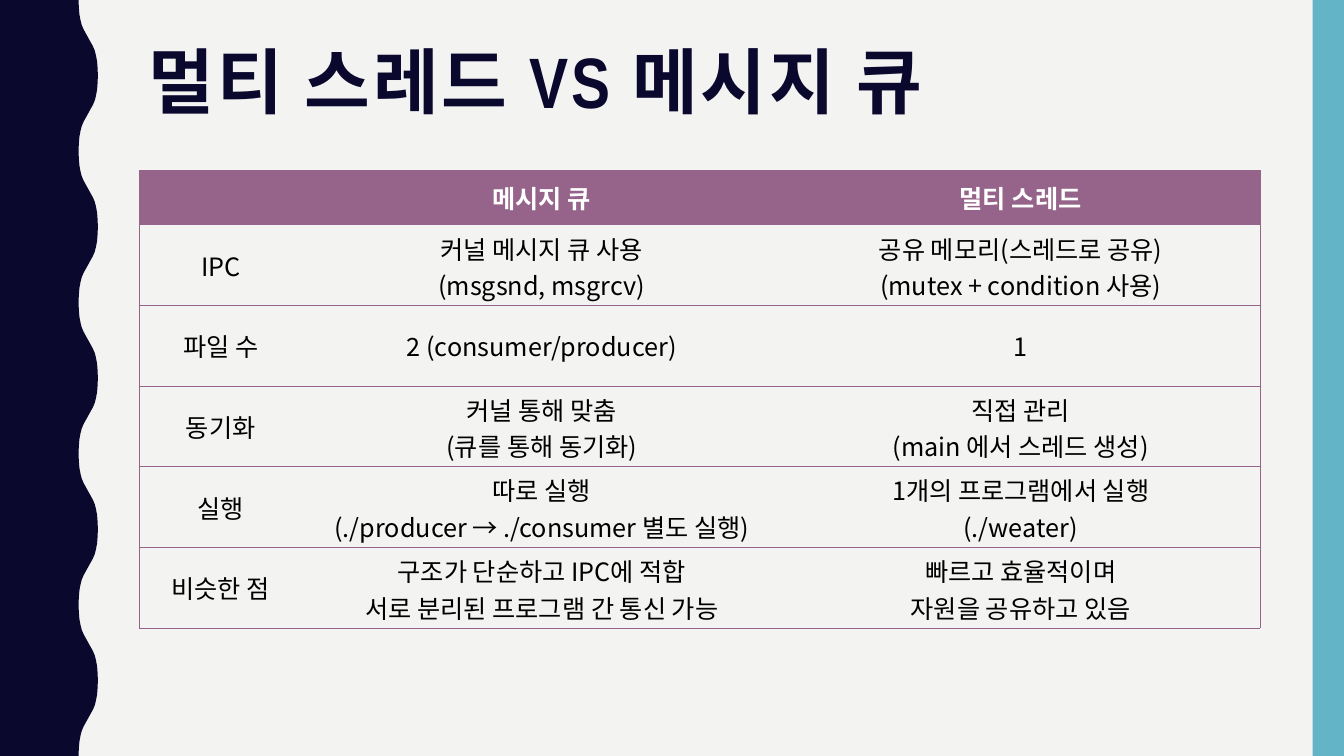
from dataclasses import dataclass

from lxml.etree import SubElement
from pptx import Presentation
from pptx.dml.color import RGBColor
from pptx.enum.shapes import MSO_SHAPE as Preset
from pptx.enum.text import MSO_ANCHOR as Anchor, PP_ALIGN as Align
from pptx.oxml import parse_xml
from pptx.oxml.ns import nsdecls, qn
from pptx.util import Inches, Pt


@dataclass(frozen=True)
class Theme:
    paper: str = "F3F3F2"
    navy: str = "0B082E"
    teal: str = "62B4C6"
    plum: str = "96648A"
    white: str = "FFFFFF"
    black: str = "000000"
    title_font: str = "Arial Narrow"
    body_font: str = "Noto Sans CJK KR"
    title_size: float = 51
    title_spacing: float = 2
    body_size: float = 18
    rule: float = 0.5


WAVE_COUNT = 5
QUARTER_WAVE = [(0, 0), (0.01, 0.09), (0.04, 0.19), (0.1, 0.27),
                (0.16, 0.33), (0.26, 0.39), (0.37, 0.44), (0.5, 0.5)]

TITLE = "멀티 스레드 VS 메시지 큐"
COLUMN_WIDTHS = [12.15, 35.63, 35.63]
HEADER_HEIGHT, ROW_HEIGHT = 7.2, 10.67
COMPARISON = [
    ["", "메시지 큐", "멀티 스레드"],
    ["IPC", "커널 메시지 큐 사용\n(msgsnd, msgrcv)",
     "공유 메모리(스레드로 공유)\n(mutex + condition 사용)"],
    ["파일 수", "2 (consumer/producer)", "1"],
    ["동기화", "커널 통해 맞춤\n(큐를 통해 동기화)",
     "직접 관리\n(main 에서 스레드 생성)"],
    ["실행", "따로 실행\n(./producer → ./consumer 별도 실행)",
     "1개의 프로그램에서 실행\n(./weater)"],
    ["비슷한 점", "구조가 단순하고 IPC에 적합\n서로 분리된 프로그램 간 통신 가능",
     "빠르고 효율적이며\n자원을 공유하고 있음"],
]


class SlideBuilder:
    def __init__(self, deck, theme):
        self.deck = deck
        self.theme = theme
        self.page = deck.slides.add_slide(deck.slide_layouts[6])
        self.paint(self.page.background, theme.paper)

    def across(self, share):
        return round(self.deck.slide_width * share / 100)

    def down(self, share):
        return round(self.deck.slide_height * share / 100)

    def place(self, left, top, width, height):
        return self.across(left), self.down(top), self.across(width), self.down(height)

    def paint(self, item, color):
        item.fill.solid()
        item.fill.fore_color.rgb = RGBColor.from_string(color)

    def finish(self, shape, color):
        self.paint(shape, color)
        shape.line.fill.background()
        shape.shadow.inherit = False

    def band(self, area, color):
        self.finish(self.page.shapes.add_shape(Preset.RECTANGLE, *self.place(*area)), color)

    def wavy_band(self, trough, crest, color):
        half = QUARTER_WAVE + [(1 - x, 1 - y) for x, y in QUARTER_WAVE[-2::-1]]
        wave = half + [(x, 2 - y) for x, y in half[-2::-1]]
        period = 100 / WAVE_COUNT
        edge = [(self.across(trough + (crest - trough) * x),
                 self.down(period * (turn + y / 2)))
                for turn in range(WAVE_COUNT) for x, y in wave]
        outline = self.page.shapes.build_freeform(0, 0)
        outline.add_line_segments(edge + [(0, self.down(100))], close=True)
        self.finish(outline.convert_to_shape(), color)

    def add_span(self, para, text, font, size, color, bold=False, spacing=0):
        span = para.add_run()
        span.text = text
        span.font.name = font
        span.font.size = Pt(size)
        span.font.bold = bold
        span.font.color.rgb = RGBColor.from_string(color)
        props = span._r.get_or_add_rPr()
        SubElement(props, qn("a:ea")).set("typeface", self.theme.body_font)
        if spacing:
            props.set("spc", str(round(spacing * 100)))

    def title(self, area, text):
        theme = self.theme
        frame = self.page.shapes.add_textbox(*self.place(*area)).text_frame
        frame.word_wrap = True
        frame.vertical_anchor = Anchor.MIDDLE
        para = frame.paragraphs[0]
        para.line_spacing = 0.9
        self.add_span(para, text, theme.title_font, theme.title_size, theme.navy,
                      bold=True, spacing=theme.title_spacing)

    def borders(self, cell, visible):
        props = cell._tc.get_or_add_tcPr()
        for index, side in enumerate("LRTB"):
            if side in visible:
                fill = f'<a:solidFill><a:srgbClr val="{self.theme.plum}"/></a:solidFill>'
            else:
                fill = "<a:noFill/>"
            width = Pt(self.theme.rule)
            props.insert(index, parse_xml(
                f'<a:ln{side} {nsdecls("a")} w="{width}">{fill}</a:ln{side}>'))

    def cell(self, cell, text, header, sides):
        theme = self.theme
        cell.vertical_anchor = Anchor.MIDDLE
        if header:
            self.paint(cell, theme.plum)
        else:
            cell.fill.background()
        self.borders(cell, sides)
        frame = cell.text_frame
        for index, line in enumerate(text.split("\n")):
            para = frame.add_paragraph() if index else frame.paragraphs[0]
            para.alignment = Align.CENTER
            if line:
                self.add_span(para, line, theme.body_font, theme.body_size,
                              theme.white if header else theme.black, bold=header)

    def table(self, left, top, widths, heights, rows):
        area = self.place(left, top, sum(widths), sum(heights))
        grid = self.page.shapes.add_table(len(rows), len(widths), *area).table
        grid.horz_banding = False
        for column, width in zip(grid.columns, widths):
            column.width = self.across(width)
        for row, height in zip(grid.rows, heights):
            row.height = self.down(height)
        edges = {0: "L", len(widths) - 1: "R"}
        for r, texts in enumerate(rows):
            for c, text in enumerate(texts):
                self.cell(grid.cell(r, c), text, r == 0, "TB" + edges.get(c, ""))


def main():
    deck = Presentation()
    deck.slide_width, deck.slide_height = Inches(13.33), Inches(7.5)
    theme = Theme()
    builder = SlideBuilder(deck, theme)
    builder.wavy_band(5.85, 7.28, theme.navy)
    builder.band((97.67, 0, 2.33, 100), theme.teal)
    builder.title((10.35, 5.2, 83.5, 12.27), TITLE)
    heights = [HEADER_HEIGHT] + [ROW_HEIGHT] * (len(COMPARISON) - 1)
    builder.table(10.35, 22.53, COLUMN_WIDTHS, heights, COMPARISON)
    deck.save("out.pptx")


if __name__ == "__main__":
    main()
